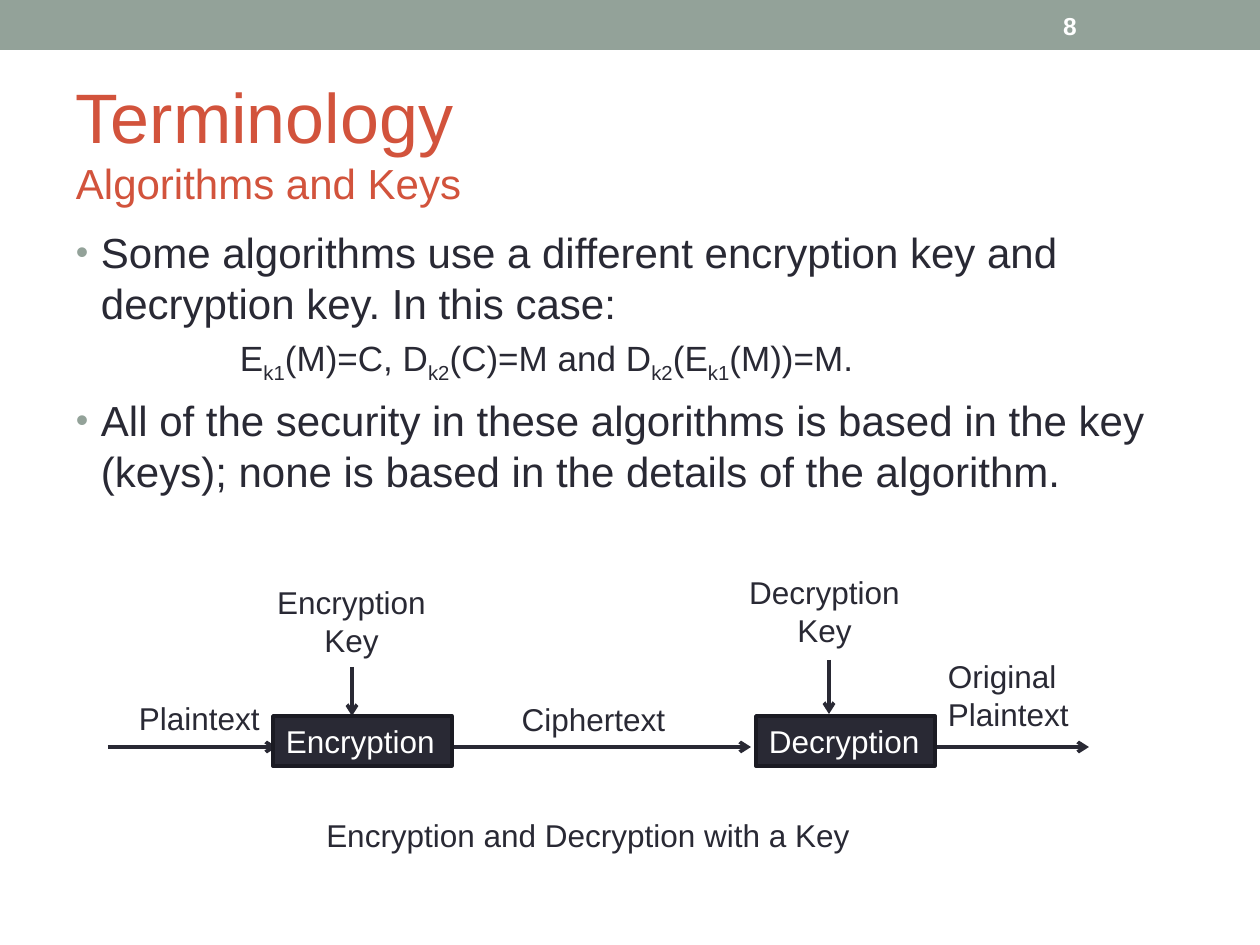
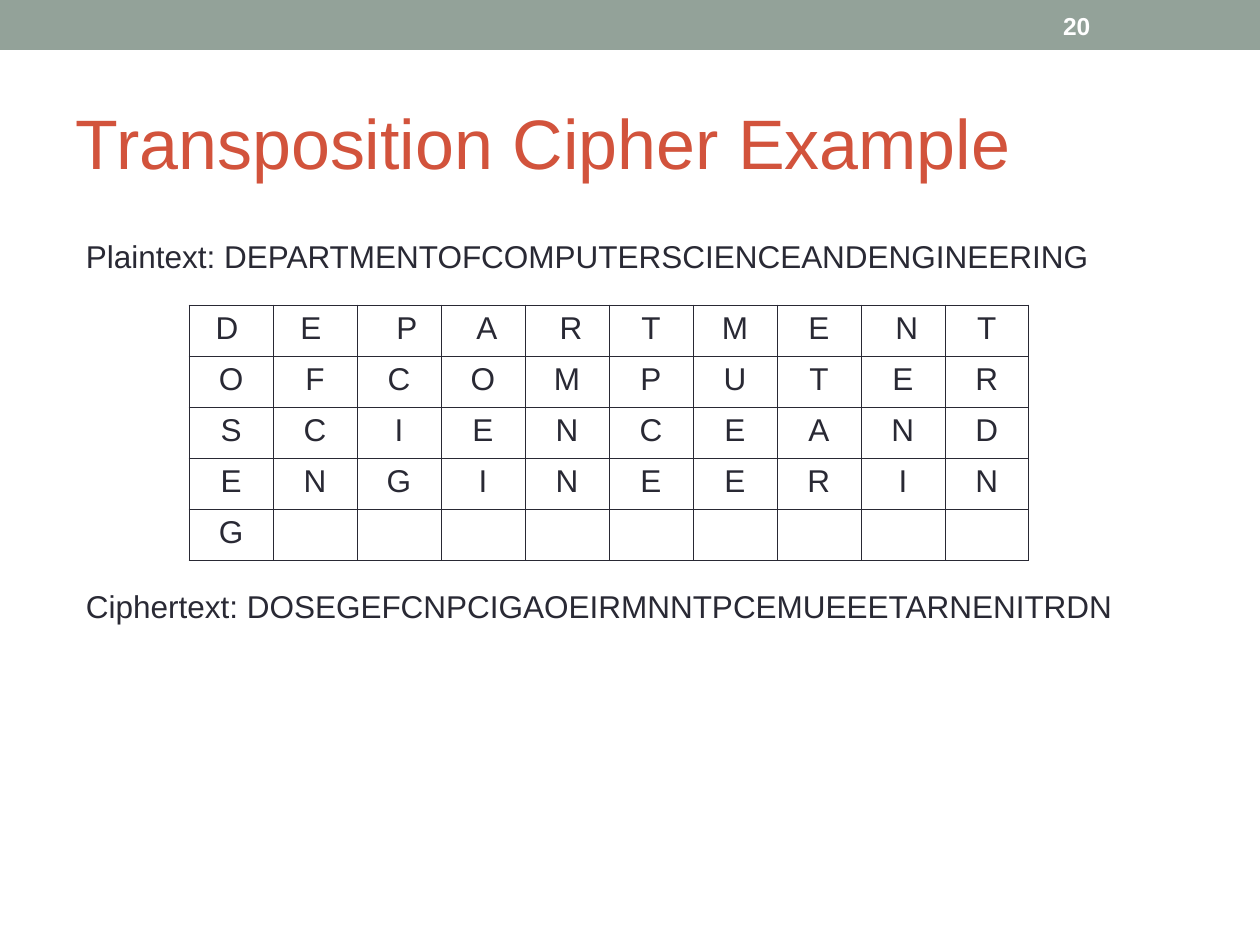
from dataclasses import dataclass

from lxml import etree
from pptx import Presentation
from pptx.dml.color import RGBColor
from pptx.enum.shapes import MSO_CONNECTOR, MSO_SHAPE
from pptx.enum.text import MSO_ANCHOR, PP_ALIGN
from pptx.oxml.ns import qn
from pptx.util import Pt

EMU_PER_PX = 914400 / 126
RECTANGLE = MSO_SHAPE.RECTANGLE
STRAIGHT = MSO_CONNECTOR.STRAIGHT
TOP, MIDDLE = MSO_ANCHOR.TOP, MSO_ANCHOR.MIDDLE
LEFT, CENTER = PP_ALIGN.LEFT, PP_ALIGN.CENTER


@dataclass(frozen=True)
class Theme:
    font: str = "Arial"
    band: str = "93A299"
    title: str = "D2533C"
    ink: str = "292934"
    box_edge: str = "1B1B23"
    white: str = "FFFFFF"
    title_size: int = 40
    body_size: int = 24
    formula_size: int = 20
    label_size: int = 18
    number_size: int = 14
    line_width: float = 2.07
    grid_width: float = 0.45


THEME = Theme()
SLIDE_SIZE = (1260, 945)
TITLE_BOX = (63, 73, 1134, 136)
NUMBER_BOX = (1050, 3, 147, 45)
INSET_X, INSET_Y = 13, 6

FORMULA = ["E", "k1", "(M)=C, D", "k2", "(C)=M and D", "k2", "(E", "k1", "(M))=M."]
PLAINTEXT = "DEPARTMENTOFCOMPUTERSCIENCEANDENGINEERING"
COLUMN_COUNT = 10
CIPHERTEXT = "".join(PLAINTEXT[column::COLUMN_COUNT] for column in range(COLUMN_COUNT))
FIRST_ROW_NUDGES = {0: -4, 1: -4, 2: 8, 3: 4, 4: 4, 8: 4}


def px(value):
    return round(value * EMU_PER_PX)


def px_all(values):
    return [px(value) for value in values]


def style(paragraph, size, color=THEME.ink, bold=False, align=LEFT):
    paragraph.alignment = align
    font = paragraph.font
    font.name, font.size, font.bold = THEME.font, Pt(size), bold
    font.color.rgb = RGBColor.from_string(color)


def prepare_frame(shape, anchor=TOP):
    frame = shape.text_frame
    frame.word_wrap = True
    frame.vertical_anchor = anchor
    frame.margin_left = frame.margin_right = px(INSET_X)
    frame.margin_top = frame.margin_bottom = px(INSET_Y)
    return frame


def add_text_box(slide, box, anchor=TOP):
    return prepare_frame(slide.shapes.add_textbox(*px_all(box)), anchor)


def add_label(slide, box, text, align=LEFT):
    frame = add_text_box(slide, box)
    frame.text = text
    for paragraph in frame.paragraphs:
        style(paragraph, THEME.label_size, align=align)


def add_rectangle(slide, box, fill, edge=None):
    shape = slide.shapes.add_shape(RECTANGLE, *px_all(box))
    shape.shadow.inherit = False
    shape.fill.solid()
    shape.fill.fore_color.rgb = RGBColor.from_string(fill)
    if edge:
        shape.line.color.rgb = RGBColor.from_string(edge)
        shape.line.width = Pt(THEME.line_width)
    else:
        shape.line.fill.background()
    return shape


def add_arrow(slide, start, end):
    connector = slide.shapes.add_connector(STRAIGHT, *px_all(start + end))
    connector.line.color.rgb = RGBColor.from_string(THEME.ink)
    connector.line.width = Pt(THEME.line_width)
    etree.SubElement(connector.line._get_or_add_ln(), qn("a:tailEnd"), type="arrow")
    etree.SubElement(connector._element.spPr, qn("a:effectLst"))


def add_framed_slide(presentation, number, title, subtitle=None):
    """Add a slide with the top band, its number and its title."""
    slide = presentation.slides.add_slide(presentation.slide_layouts[6])
    add_rectangle(slide, (0, 0, SLIDE_SIZE[0], 50), THEME.band)

    paragraph = add_text_box(slide, TITLE_BOX, MIDDLE).paragraphs[0]
    paragraph.text = title
    style(paragraph, THEME.title_size, THEME.title)
    if subtitle:
        paragraph.add_line_break()
        run = paragraph.add_run()
        run.text = subtitle
        run.font.size = Pt(THEME.body_size)

    paragraph = add_text_box(slide, NUMBER_BOX, MIDDLE).paragraphs[0]
    paragraph.text = str(number)
    style(paragraph, THEME.number_size, THEME.white, bold=True)
    return slide


def indent(paragraph, margin, first_line=0):
    properties = paragraph._p.get_or_add_pPr()
    properties.set("marL", str(px(margin)))
    properties.set("indent", str(px(first_line)))
    return properties


def write_bullet(paragraph, text):
    properties = indent(paragraph, 25, -25)
    color = etree.SubElement(properties, qn("a:buClr"))
    etree.SubElement(color, qn("a:srgbClr"), val=THEME.band)
    etree.SubElement(properties, qn("a:buSzPct"), val="85000")
    etree.SubElement(properties, qn("a:buFont"), typeface=THEME.font)
    etree.SubElement(properties, qn("a:buChar"), char="•")
    paragraph.text = text
    style(paragraph, THEME.body_size)


def write_formula(paragraph, parts):
    """Write parts that alternate between normal text and subscripts."""
    indent(paragraph, 164)
    style(paragraph, THEME.formula_size)
    for index, part in enumerate(parts):
        run = paragraph.add_run()
        run.text = part
        if index % 2:
            run._r.get_or_add_rPr().set("baseline", "-25000")


def add_key_points(slide, box):
    frame = add_text_box(slide, box)
    write_bullet(frame.paragraphs[0], "Some algorithms use a different encryption key "
                 "and decryption key. In this case:")
    formula = frame.add_paragraph()
    formula.space_before = Pt(5)
    write_formula(formula, FORMULA)
    closing = frame.add_paragraph()
    closing.space_before = Pt(6)
    write_bullet(closing, "All of the security in these algorithms is based in the key "
                 "(keys); none is based in the details of the algorithm.")


def add_cipher_diagram(slide, box):
    left, top, width, height = box
    box_width, line_height, two_lines = 179, 50, 88

    def at(x, y):
        return left + x, top + y

    flow_y, stage_y = 180, 149
    for start, end in (((3, flow_y), (172, flow_y)), ((346, flow_y), (646, flow_y)),
                       ((830, flow_y), (984, flow_y)), ((247, 100), (247, 149)),
                       ((724, 93), (724, 147))):
        add_arrow(slide, at(*start), at(*end))

    for x, name in ((168, "Encryption"), (651, "Decryption")):
        stage = add_rectangle(slide, (*at(x, stage_y), box_width, line_height),
                              THEME.ink, THEME.box_edge)
        paragraph = prepare_frame(stage).paragraphs[0]
        paragraph.text = name
        style(paragraph, THEME.label_size, THEME.white)

    for x, y, label_width, label_height, text, align in (
            (157, 10, box_width, two_lines, "Encryption\vKey", CENTER),
            (630, 0, box_width, two_lines, "Decryption\vKey", CENTER),
            (21, 126, 147, line_height, "Plaintext", LEFT),
            (399, 127, box_width, line_height, "Ciphertext", CENTER),
            (830, 84, box_width, two_lines, "Original\nPlaintext", LEFT),
            (0, height - line_height, width, line_height,
             "Encryption and Decryption with a Key", CENTER)):
        add_label(slide, (*at(x, y), label_width, label_height), text, align)


def style_cell(cell, letter, nudge):
    """Fill one grid cell; nudge shifts its letter sideways in px."""
    cell.margin_left, cell.margin_right = px(INSET_X + nudge), px(INSET_X - nudge)
    cell.margin_top = cell.margin_bottom = px(INSET_Y)
    paragraph = cell.text_frame.paragraphs[0]
    paragraph.text = letter
    style(paragraph, THEME.label_size, align=CENTER)
    properties = cell._tc.get_or_add_tcPr()
    for side in ("a:lnL", "a:lnR", "a:lnT", "a:lnB"):
        line = etree.SubElement(properties, qn(side), w=str(Pt(THEME.grid_width)))
        fill = etree.SubElement(line, qn("a:solidFill"))
        etree.SubElement(fill, qn("a:srgbClr"), val=THEME.ink)
    cell.fill.background()


def add_letter_grid(slide, box):
    row_count = -(-len(PLAINTEXT) // COLUMN_COUNT)
    table = slide.shapes.add_table(row_count, COLUMN_COUNT, *px_all(box)).table
    table.first_row = table.horz_banding = False
    for column in table.columns:
        column.width = px(box[2] // COLUMN_COUNT)
    for row in table.rows:
        row.height = px(box[3] // row_count)
    for index, letter in enumerate(PLAINTEXT.ljust(row_count * COLUMN_COUNT)):
        row, column = divmod(index, COLUMN_COUNT)
        nudge = FIRST_ROW_NUDGES.get(column, 0) if row == 0 else 0
        style_cell(table.cell(row, column), letter.strip(), nudge)


def add_transposition(slide, box):
    left, top, width, height = box
    add_label(slide, (left, top, width, 50), f"Plaintext: {PLAINTEXT}")
    add_letter_grid(slide, (left + 116, top + 74, 840, 255))
    add_label(slide, (left, top + height - 50, width, 50), f"Ciphertext: {CIPHERTEXT}")


def main():
    presentation = Presentation()
    presentation.slide_width, presentation.slide_height = px_all(SLIDE_SIZE)

    terminology = add_framed_slide(presentation, 8, "Terminology", "Algorithms and Keys")
    add_key_points(terminology, (63, 221, 1134, 300))
    add_cipher_diagram(terminology, (105, 567, 966, 293))

    example = add_framed_slide(presentation, 20, "Transposition Cipher Example")
    add_transposition(example, (73, 231, 1134, 400))

    presentation.save("out.pptx")


if __name__ == "__main__":
    main()
